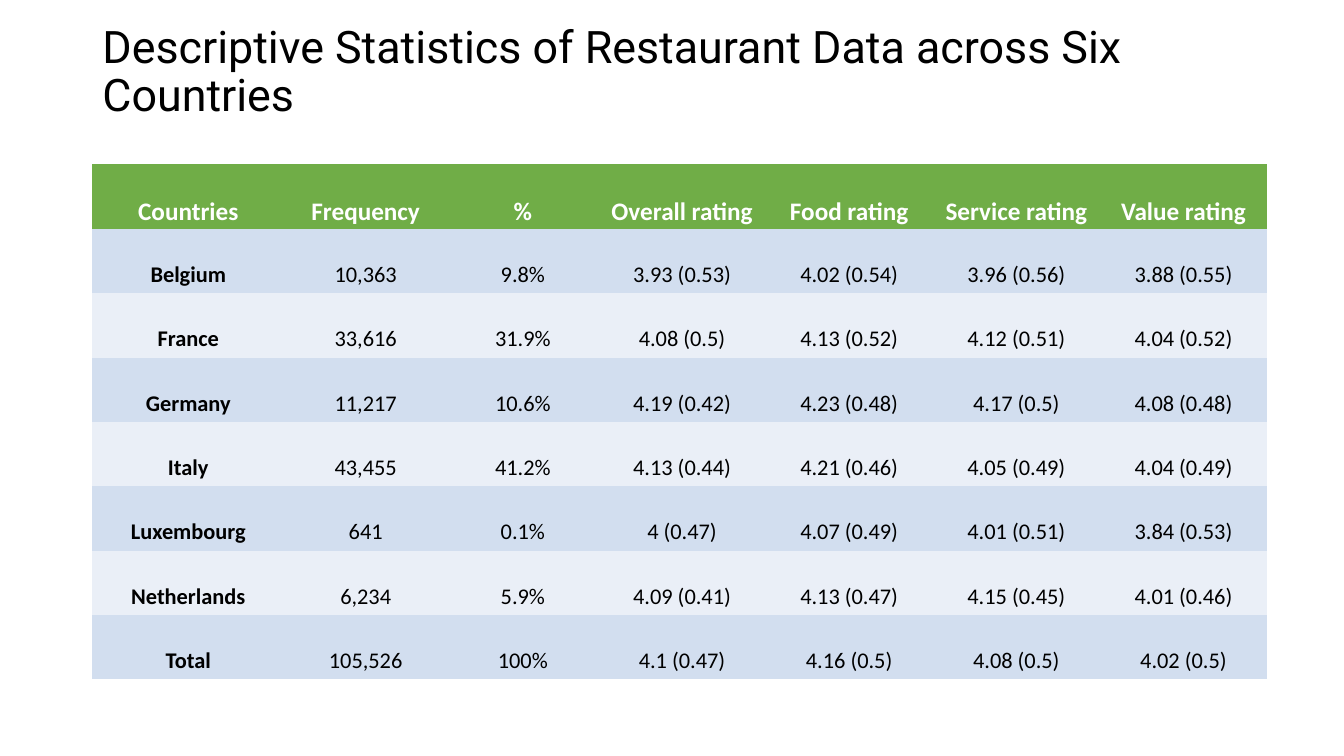
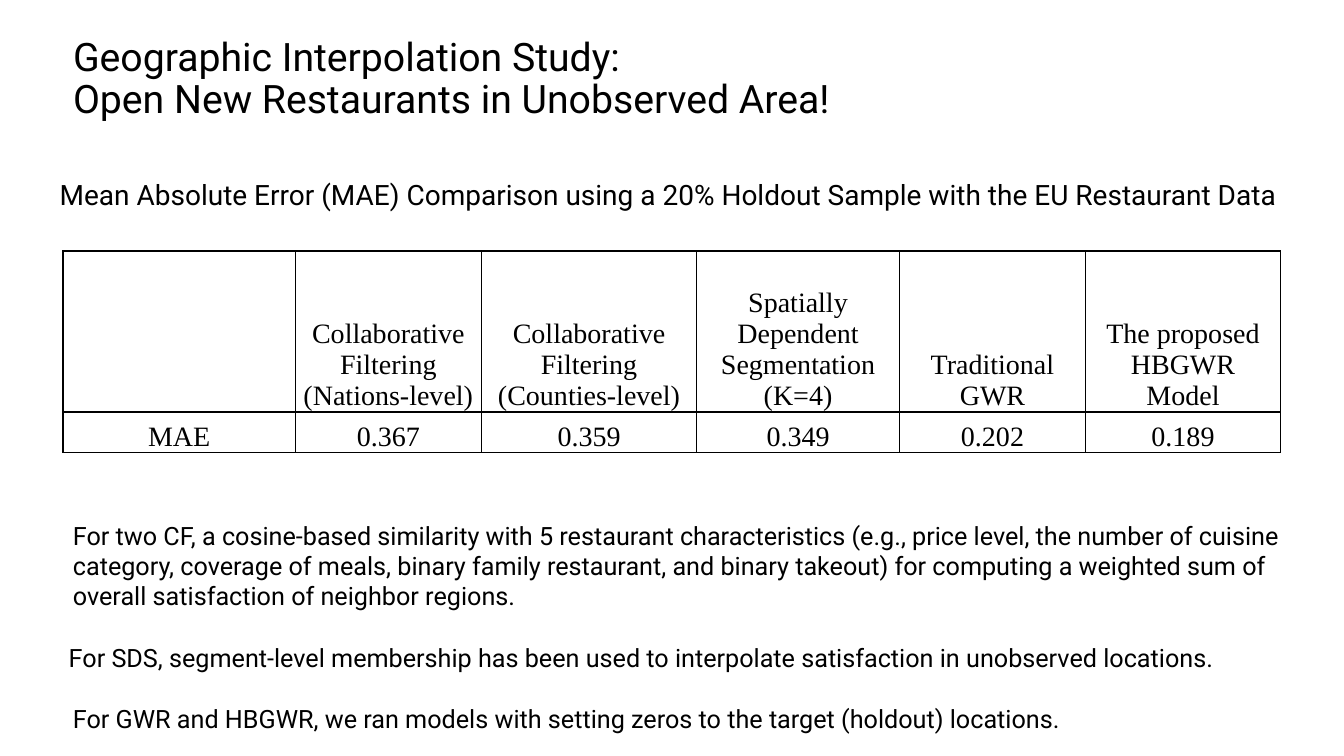
"""Build two slides on restaurant ratings: descriptive statistics and model comparison."""
import pptx
import pptx.dml.color
import pptx.enum.text
import pptx.oxml.ns
import pptx.util
import lxml.etree

Pt = pptx.util.Pt
qn = pptx.oxml.ns.qn
ALIGN = pptx.enum.text.PP_ALIGN
ANCHOR = pptx.enum.text.MSO_ANCHOR
NO_STYLE = "{2D5ABB26-0587-4C30-8999-92F81FD0307C}"

COLORS = {
    "text": "000000",
    "header_text": "FFFFFF",
    "header": "70AD47",
    "odd_row": "D2DEEF",
    "even_row": "EAEFF7",
    "border": "000000",
}
HEADER_FONT = {"name": "Calibri", "size": Pt(18), "bold": True}
COUNTRY_FONT = {"name": "Calibri", "size": Pt(16), "bold": True}
FIGURE_FONT = {"name": "Calibri", "size": Pt(16), "bold": False}
MODEL_FONT = {"name": "Times New Roman", "size": Pt(20), "bold": False}
CAPTION_FONT = {"name": "Roboto", "size": Pt(20)}
NOTE_FONT = {"name": "Roboto", "size": Pt(18)}


def write(frame, text, font, color="text", align=ALIGN.LEFT, spacing=1.0):
    frame.word_wrap = True
    frame.text = text
    paragraph = frame.paragraphs[0]
    paragraph.alignment = align
    paragraph.line_spacing = spacing
    for run in paragraph.runs:
        for attribute, value in font.items():
            setattr(run.font, attribute, value)
        run.font.color.rgb = pptx.dml.color.RGBColor.from_string(COLORS[color])


def add_plain_table(slide, left, top, widths, heights, margin, anchor):
    frame = slide.shapes.add_table(
        len(heights), len(widths), Pt(left), Pt(top), Pt(sum(widths)), Pt(sum(heights)))
    for style in frame.element.iter(qn("a:tableStyleId")):
        style.text = NO_STYLE
    table = frame.table
    for column, width in zip(table.columns, widths):
        column.width = Pt(width)
    for row, height in zip(table.rows, heights):
        row.height = Pt(height)
    cell_format = {"margin_left": Pt(margin), "margin_right": Pt(margin),
                   "margin_top": 0, "margin_bottom": 0, "vertical_anchor": anchor}
    for cell in table.iter_cells():
        for attribute, value in cell_format.items():
            setattr(cell, attribute, value)
    return table


deck = pptx.Presentation()
deck.slide_width, deck.slide_height = Pt(960), Pt(540)

headings = [
    ("Descriptive Statistics of Restaurant Data across Six Countries", 32, (66, 0, 858, 104)),
    ("Geographic Interpolation Study: \vOpen New Restaurants in Unobserved Area!", 28,
     (45, 19.5, 828, 75)),
]
slides = []
for heading, size, box in headings:
    slide = deck.slides.add_slide(deck.slide_layouts[5])
    title = slide.shapes.title
    title.left, title.top, title.width, title.height = map(Pt, box)
    title.text_frame.auto_size = pptx.enum.text.MSO_AUTO_SIZE.NONE
    title.text_frame.vertical_anchor = ANCHOR.MIDDLE
    write(title.text_frame, heading, {"name": "Roboto", "size": Pt(size)}, spacing=0.9)
    slides.append(slide)
statistics_slide, interpolation_slide = slides

statistics = [
    ("Countries", "Frequency", "%", "Overall rating", "Food rating", "Service rating",
     "Value rating"),
    ("Belgium", "10,363", "9.8%", "3.93 (0.53)", "4.02 (0.54)", "3.96 (0.56)", "3.88 (0.55)"),
    ("France", "33,616", "31.9%", "4.08 (0.5)", "4.13 (0.52)", "4.12 (0.51)", "4.04 (0.52)"),
    ("Germany", "11,217", "10.6%", "4.19 (0.42)", "4.23 (0.48)", "4.17 (0.5)", "4.08 (0.48)"),
    ("Italy", "43,455", "41.2%", "4.13 (0.44)", "4.21 (0.46)", "4.05 (0.49)", "4.04 (0.49)"),
    ("Luxembourg", "641", "0.1%", "4 (0.47)", "4.07 (0.49)", "4.01 (0.51)", "3.84 (0.53)"),
    ("Netherlands", "6,234", "5.9%", "4.09 (0.41)", "4.13 (0.47)", "4.15 (0.45)",
     "4.01 (0.46)"),
    ("Total", "105,526", "100%", "4.1 (0.47)", "4.16 (0.5)", "4.08 (0.5)", "4.02 (0.5)"),
]
ratings = add_plain_table(statistics_slide, 66, 117.5, [137, 116.5, 108] + [119.4] * 4,
                          [46] * len(statistics), 4.5, ANCHOR.MIDDLE)
for r, values in enumerate(statistics):
    band = "header" if r == 0 else "odd_row" if r % 2 else "even_row"
    for c, value in enumerate(values):
        cell = ratings.cell(r, c)
        cell.fill.solid()
        cell.fill.fore_color.rgb = pptx.dml.color.RGBColor.from_string(COLORS[band])
        font = HEADER_FONT if r == 0 else COUNTRY_FONT if c == 0 else FIGURE_FONT
        write(cell.text_frame, value, font, "text" if r else "header_text", ALIGN.CENTER, 2.0)

errors = [
    ("", "Collaborative Filtering (Nations-level)", "Collaborative Filtering (Counties-level)",
     "Spatially Dependent Segmentation (K=4)", "Traditional GWR", "The proposed HBGWR Model"),
    ("MAE", "0.367", "0.359", "0.349", "0.202", "0.189"),
]
comparison = add_plain_table(interpolation_slide, 45, 179.3,
                             [166, 132.8, 154, 144.6, 133.2, 139], [115, 29], 4.8,
                             ANCHOR.BOTTOM)
for r, values in enumerate(errors):
    for c, value in enumerate(values):
        cell = comparison.cell(r, c)
        properties = cell._tc.get_or_add_tcPr()
        for side in ("lnL", "lnR", "lnT", "lnB"):
            line = lxml.etree.SubElement(properties, qn(f"a:{side}"), w=str(Pt(1)))
            paint = lxml.etree.SubElement(line, qn("a:solidFill"))
            lxml.etree.SubElement(paint, qn("a:srgbClr"), val=COLORS["border"])
        cell.fill.background()
        write(cell.text_frame, value, MODEL_FONT, align=ALIGN.CENTER)

remarks = [
    ("Mean Absolute Error (MAE) Comparison using a 20% Holdout Sample with the EU Restaurant "
     "Data", CAPTION_FONT, (35.5, 123, 901, 31.5)),
    ("For two CF, a cosine-based similarity with 5 restaurant characteristics (e.g., price "
     "level, the number of cuisine category, coverage of meals, binary family restaurant, and "
     "binary takeout) for computing a weighted sum of overall satisfaction of neighbor regions.",
     NOTE_FONT, (45, 368, 886, 72.7)),
    ("For SDS, segment-level membership has been used to interpolate satisfaction in "
     "unobserved locations.", NOTE_FONT, (42, 455, 882, 29)),
    ("For GWR and HBGWR, we ran models with setting zeros to the target (holdout) locations.",
     NOTE_FONT, (45, 499, 882, 29)),
]
for remark, font, box in remarks:
    remark_box = interpolation_slide.shapes.add_textbox(*map(Pt, box))
    write(remark_box.text_frame, remark, font)

deck.save("out.pptx")
